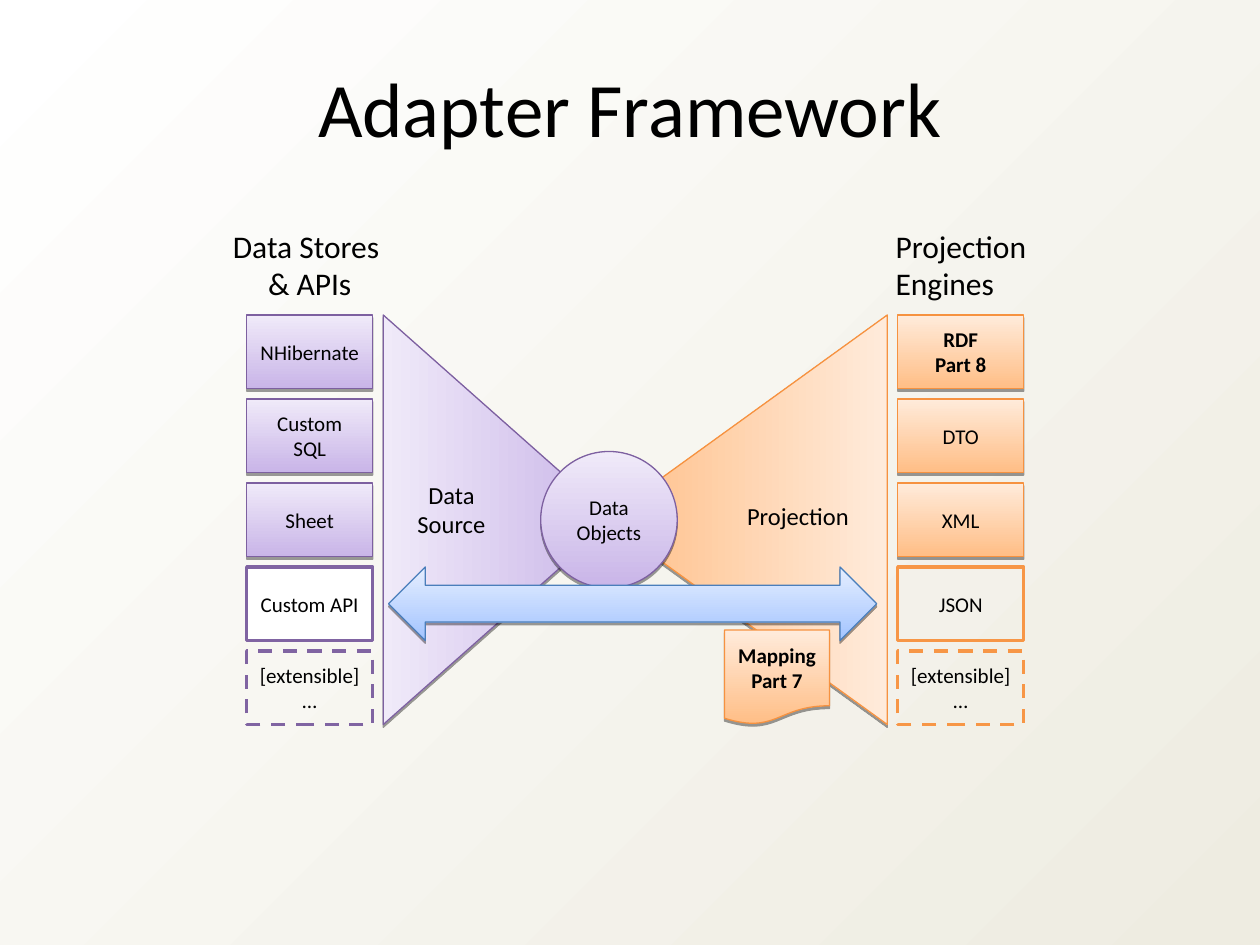
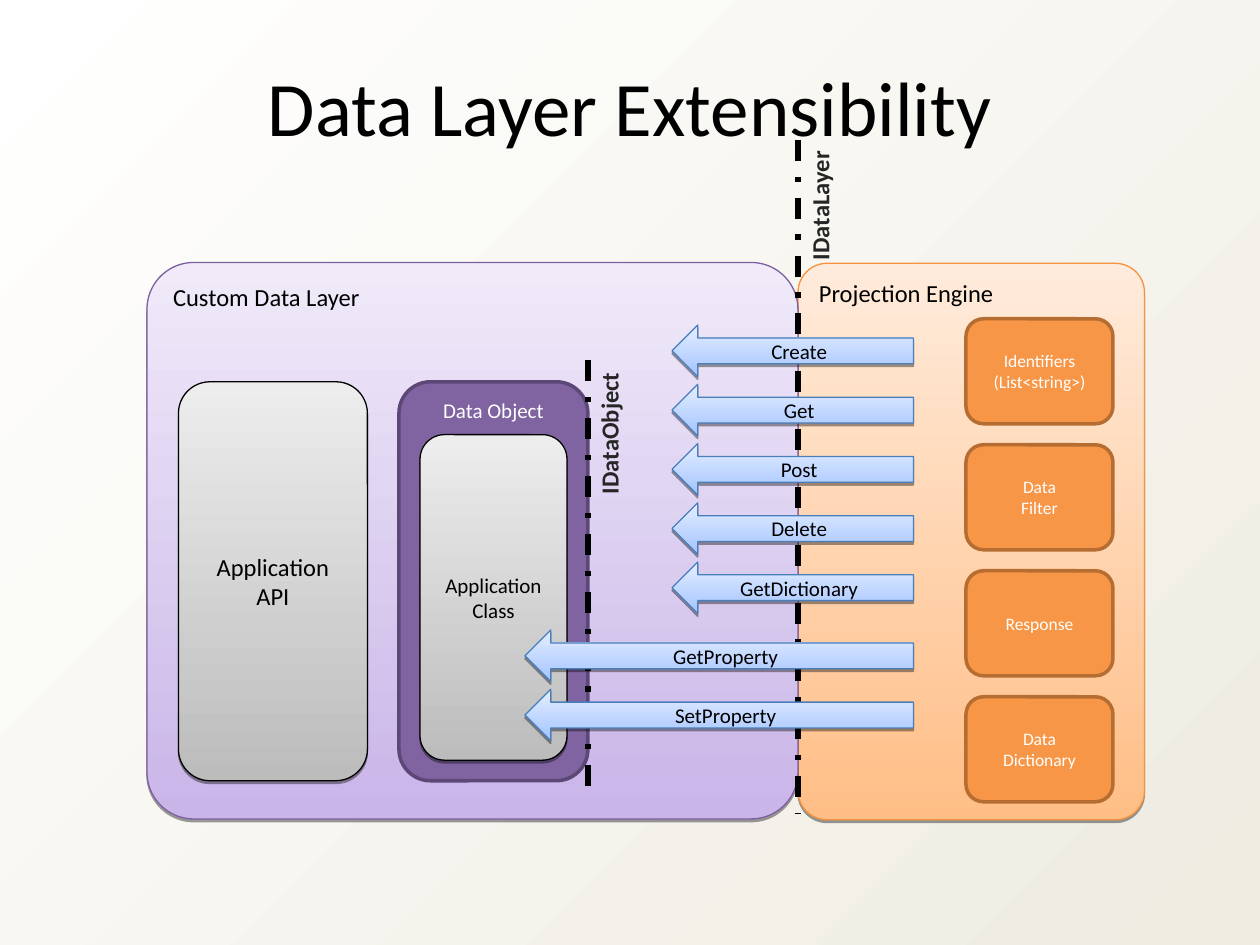
from lxml import etree
from pptx import Presentation
from pptx import util as u
from pptx.dml.color import RGBColor
from pptx.enum import dml, shapes, text
from pptx.oxml import ns

COLUMNS, ROWS = 120, 90
CELL = u.Inches(10) / COLUMNS
FONT = "Calibri"
PRESET = shapes.MSO_SHAPE
CENTER, LEFT = text.PP_ALIGN.CENTER, text.PP_ALIGN.LEFT
TOP, MIDDLE = text.MSO_ANCHOR.TOP, text.MSO_ANCHOR.MIDDLE
DASH, DASH_DOT = dml.MSO_LINE.DASH, dml.MSO_LINE.DASH_DOT

COLORS = {
    "black": "000000", "white": "FFFFFF", "charcoal": "262626", "sand": "EEECE1",
    "purple": "8064A2", "purple edge": "7D60A0", "purple rim": "5C4776",
    "purple deep": "C9B5E8", "purple pale": "F0EAF9",
    "orange": "F79646", "orange edge": "F69240", "orange rim": "B66D31",
    "orange deep": "FFBE86", "orange pale": "FFEBDB",
    "blue edge": "4A7EBB", "blue deep": "A3C4FF", "blue pale": "E5EEFF",
    "gray deep": "BCBCBC", "gray pale": "EDEDED",
}

LOOKS = {
    "data": (("purple deep", "purple pale"), "purple edge", 0.75, None),
    "projection": (("orange deep", "orange pale"), "orange edge", 0.75, None),
    "flow": (("blue deep", "blue pale"), "blue edge", 0.75, None),
    "application": (("gray deep", "gray pale"), "black", 0.75, None),
    "custom api": ("white", "purple", 2, None),
    "json": (None, "orange", 2, None),
    "data extension": (None, "purple", 2, DASH),
    "projection extension": (None, "orange", 2, DASH),
    "data object": ("purple", "purple rim", 2, None),
    "message": ("orange", "orange rim", 2, None),
}


def rgb(name):
    return RGBColor.from_string(COLORS[name])


def grid(*cells):
    return [round(cell * CELL) for cell in cells]


def paint_gradient(fill, names, angle):
    fill.gradient()
    fill.gradient_angle = angle
    for stop, name in zip(fill.gradient_stops, names):
        stop.color.rgb = rgb(name)


def cast_shadow(shape):
    effects = shape._element.spPr.find(ns.qn("a:effectLst"))
    shadow = etree.SubElement(effects, ns.qn("a:outerShdw"), blurRad="0",
                              dist=str(u.Pt(1.6)), dir="5400000", rotWithShape="0")
    color = etree.SubElement(shadow, ns.qn("a:srgbClr"), val=COLORS["black"])
    etree.SubElement(color, ns.qn("a:alpha"), val="38000")


def write(shape, words, size, color="black", bold=False, align=CENTER, anchor=MIDDLE, wrap=True):
    frame = shape.text_frame
    frame.text = words
    frame.word_wrap = wrap
    frame.vertical_anchor = anchor
    for paragraph in frame.paragraphs:
        paragraph.alignment = align
        font = paragraph.font
        font.name, font.size, font.bold = FONT, u.Pt(size), bold
        font.color.rgb = rgb(color)


def block(slide, preset, box, look, words="", size=12, angle=90, radius=None, **style):
    shape = slide.shapes.add_shape(preset, *grid(*box))
    if radius:
        shape.adjustments[0] = radius
    fill, edge, width, dash = LOOKS[look]
    shape.shadow.inherit = False
    if fill is None:
        shape.fill.background()
    elif isinstance(fill, tuple):
        paint_gradient(shape.fill, fill, angle)
        cast_shadow(shape)
    else:
        shape.fill.solid()
        shape.fill.fore_color.rgb = rgb(fill)
    shape.line.color.rgb = rgb(edge)
    shape.line.width = u.Pt(width)
    if dash:
        shape.line.dash_style = dash
    if words:
        write(shape, words, size, **style)
    return shape


def label(slide, box, words, size=14, rotation=0, **style):
    caption = slide.shapes.add_textbox(*grid(*box))
    caption.rotation = rotation
    write(caption, words, size, anchor=TOP, **style)


def wedge(slide, left, top, width, height, look, rotation):
    shift = (height - width) / 2
    box = (left - shift, top + shift, height, width)
    block(slide, PRESET.ISOSCELES_TRIANGLE, box, look, angle=270).rotation = rotation


def stack(slide, left, entries):
    for row, (words, look, bold) in enumerate(entries):
        block(slide, PRESET.RECTANGLE, (left, 30 + 8 * row, 12, 7), look, words, bold=bold)


def calls(slide, left, top, width, names):
    for row, name in enumerate(names):
        block(slide, PRESET.LEFT_ARROW, (left, top + 5.64 * row, width, 4.92), "flow", name)


def interface(slide, column, top, bottom, name_box, name):
    boundary = slide.shapes.add_connector(shapes.MSO_CONNECTOR.STRAIGHT,
                                          *grid(column, top, column, bottom))
    boundary.line.color.rgb = rgb("black")
    boundary.line.width = u.Pt(3)
    boundary.line.dash_style = DASH_DOT
    etree.SubElement(boundary._element.spPr, ns.qn("a:effectLst"))
    label(slide, name_box, name, rotation=270, color="charcoal", bold=True,
          align=LEFT, wrap=False)


def titled_slide(deck, title, top):
    slide = deck.slides.add_slide(deck.slide_layouts[6])
    paint_gradient(slide.background.fill, ("white", "sand"), 315)
    label(slide, (2, top, 116, 10), title, 44)
    return slide


def adapter_framework(deck):
    slide = titled_slide(deck, "Adapter Framework", 5.16)
    wedge(slide, 36.5, 30, 22, 39, "data", 90)
    wedge(slide, 57.5, 30, 27, 39, "projection", 270)
    label(slide, (67.5, 47.16, 17, 4), "Projection")
    label(slide, (36.5, 45.12, 13, 6.84), "Data\vSource")
    label(slide, (21, 21, 17, 12), "Data Stores \v& APIs", 18)
    label(slide, (84.12, 21, 14.88, 8.4), "Projection\vEngines", 18, align=LEFT, wrap=False)
    stack(slide, 23.5, [
        ("NHibernate", "data", False),
        ("Custom SQL", "data", False),
        ("Sheet", "data", False),
        ("Custom API", "custom api", False),
        ("[extensible]\n…", "data extension", False),
    ])
    stack(slide, 85.5, [
        ("RDF\vPart 8", "projection", True),
        ("DTO", "projection", False),
        ("XML", "projection", False),
        ("JSON", "json", False),
        ("[extensible]\n…", "projection extension", False),
    ])
    block(slide, PRESET.OVAL, (51.5, 43, 13, 13), "data", "Data Objects")
    block(slide, PRESET.LEFT_RIGHT_ARROW, (37, 54, 46.5, 7), "flow")
    block(slide, PRESET.FLOWCHART_DOCUMENT, (69, 60, 10, 9), "projection",
          "Mapping\vPart 7", bold=True)


def data_layer_extensibility(deck):
    slide = titled_slide(deck, "Data Layer Extensibility", 5.04)
    rounded = PRESET.ROUNDED_RECTANGLE
    block(slide, rounded, (76, 25.08, 33, 53), "projection", "Projection Engine", 14,
          radius=0.084, align=LEFT, anchor=TOP)
    block(slide, rounded, (14, 25, 62, 53), "data", "Custom Data Layer", 14,
          radius=0.084, align=LEFT, anchor=TOP)
    block(slide, rounded, (17, 36.36, 18, 38), "application", "Application\vAPI", 14)
    block(slide, rounded, (38, 36.36, 18, 38), "data object", "Data Object",
          color="white", anchor=TOP)
    block(slide, rounded, (40, 41.4, 14, 31), "application", "Application\vClass")
    interface(slide, 56, 34.32, 76.32, (51, 39.24, 14, 4), "IDataObject")
    interface(slide, 76, 13.32, 77.52, (71.64, 17.52, 12.84, 4), "IDataLayer")
    calls(slide, 64, 30.96, 23, ["Create", "Get", "Post", "Delete", "GetDictionary"])
    calls(slide, 50, 60, 37, ["GetProperty", "SetProperty"])
    messages = ["Identifiers (List<string>)", "Data\vFilter", "Response", "Data\vDictionary"]
    for row, message in enumerate(messages):
        block(slide, rounded, (92, 30.36 + 12 * row, 14, 10), "message", message, 10,
              color="white")


def main():
    deck = Presentation()
    deck.slide_width, deck.slide_height = grid(COLUMNS, ROWS)
    adapter_framework(deck)
    data_layer_extensibility(deck)
    deck.save("out.pptx")


if __name__ == "__main__":
    main()
